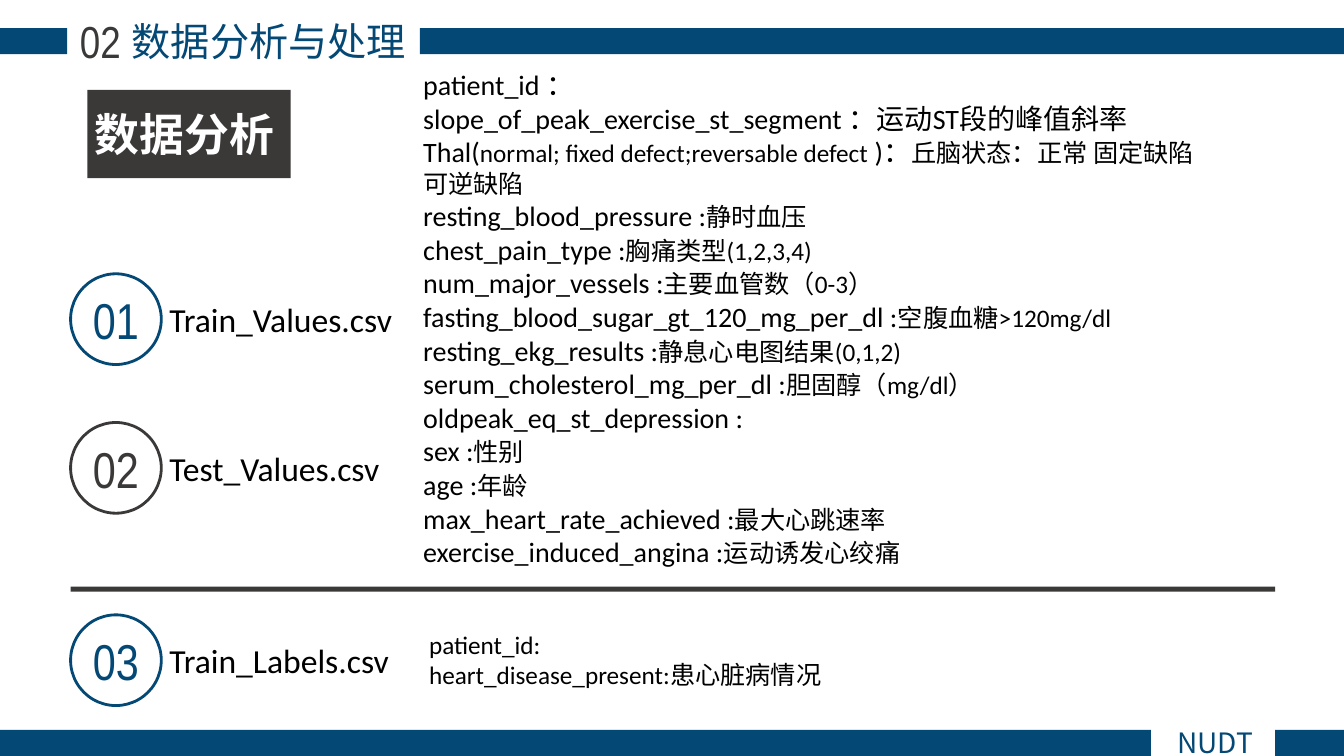
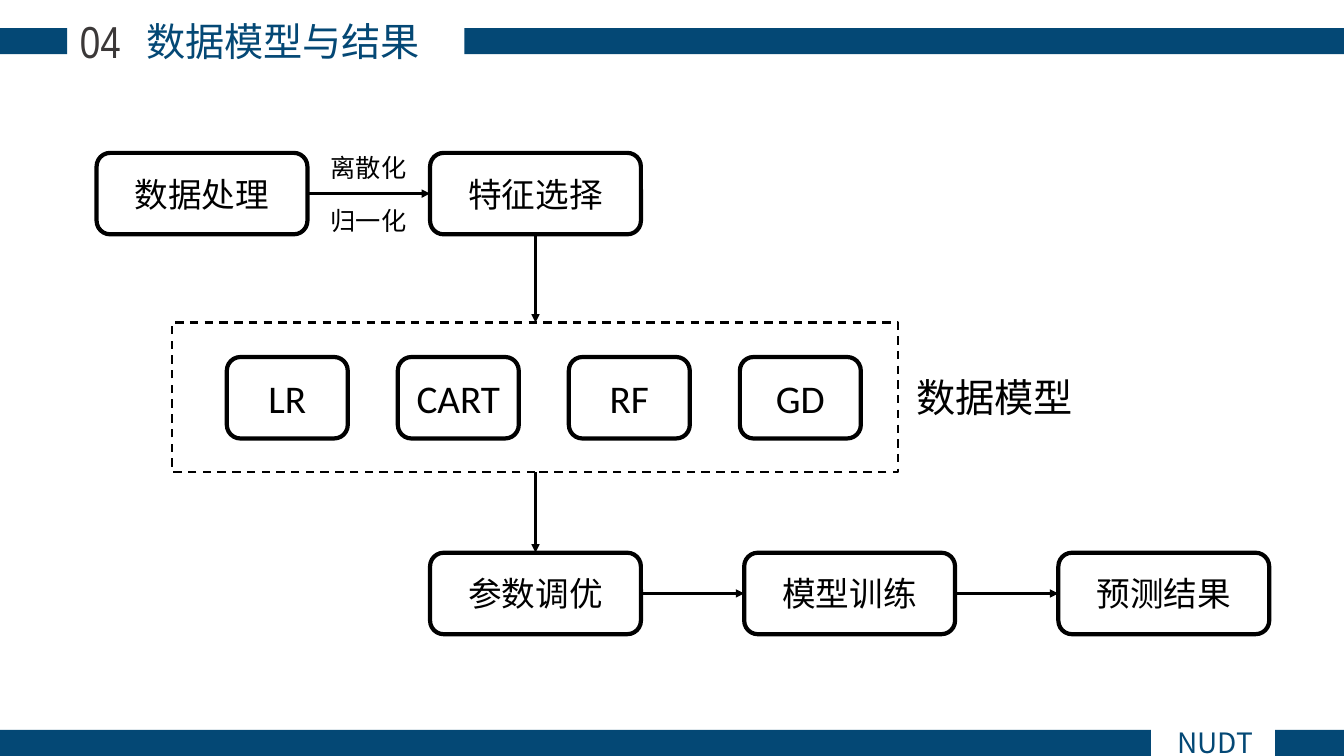
"""Build two slides on heart disease data: its fields and the modelling flow."""
from itertools import cycle

from lxml import etree
from pptx import Presentation
from pptx.dml.color import RGBColor
from pptx.enum.dml import MSO_LINE
from pptx.enum.shapes import MSO_CONNECTOR, MSO_SHAPE
from pptx.enum.text import MSO_ANCHOR, MSO_AUTO_SIZE, PP_ALIGN
from pptx.oxml.ns import qn
from pptx.util import Inches, Pt

BLUE = RGBColor(0x04, 0x48, 0x75)
GRAY = RGBColor(0x3B, 0x38, 0x38)
BLACK = RGBColor(0, 0, 0)
WHITE = RGBColor(0xFF, 0xFF, 0xFF)
LATIN, NARROW, CHINESE = "Calibri", "Arial Narrow", "Noto Sans CJK SC"
RECT, ROUNDED, OVAL = MSO_SHAPE.RECTANGLE, MSO_SHAPE.ROUNDED_RECTANGLE, MSO_SHAPE.OVAL
LEFT, CENTER = PP_ALIGN.LEFT, PP_ALIGN.CENTER
TOP, MIDDLE = MSO_ANCHOR.TOP, MSO_ANCHOR.MIDDLE
DASH, STRAIGHT = MSO_LINE.DASH, MSO_CONNECTOR.STRAIGHT
NO_FIT = MSO_AUTO_SIZE.NONE
COLUMNS, ROWS = 160, 90

deck = Presentation()
deck.slide_width, deck.slide_height = Inches(13.33), Inches(7.5)
COL, ROW = deck.slide_width / COLUMNS, deck.slide_height / ROWS


def write(target, lines, sizes=(24,), color=BLACK, font=LATIN, bold=False,
          align=LEFT, anchor=TOP, wrap=True, at=None, inset=None):
    """Fill a shape, or a new text box when at is given; sizes cycle over runs."""
    if at:
        left, top, width, height = at
        target = target.shapes.add_textbox(
            int(left * COL), int(top * ROW), int(width * COL), int(height * ROW))
    frame = target.text_frame
    frame.auto_size, frame.word_wrap, frame.vertical_anchor = NO_FIT, wrap, anchor
    if inset is not None:
        frame.margin_left = frame.margin_right = int(inset * COL)
    for number, line in enumerate(lines):
        paragraph = frame.add_paragraph() if number else frame.paragraphs[0]
        paragraph.alignment = align
        for words, size in zip(line, cycle(sizes)):
            run = paragraph.add_run()
            run.text = words
            run.font.size, run.font.name, run.font.bold = Pt(size), font, bold
            run.font.color.rgb = color
            etree.SubElement(run.font._element, qn("a:ea"), typeface=CHINESE)


def draw(slide, kind, at, fill=None, line=None, weight=2):
    """Add a preset shape on the grid and return it."""
    left, top, width, height = at
    shape = slide.shapes.add_shape(
        kind, int(left * COL), int(top * ROW), int(width * COL), int(height * ROW))
    shape.shadow.inherit = False
    if fill is None:
        shape.fill.background()
    else:
        shape.fill.solid()
        shape.fill.fore_color.rgb = fill
    if line is None:
        shape.line.fill.background()
    else:
        shape.line.color.rgb = line
        shape.line.width = Pt(weight)
    return shape


BAND = 3.1
HEAD_ROW, FOOT_ROW = 3.36, ROWS - BAND
pages = []
for section, heading, heading_col, band_col in (
        ("02", "数据分析与处理", 10.4, 50),
        ("04", "数据模型与结果", 12.1, 55.3)):
    page = deck.slides.add_slide(deck.slide_layouts[5])
    for start, end, row in ((0, 8, HEAD_ROW), (band_col, COLUMNS, HEAD_ROW),
                            (0, 137, FOOT_ROW), (151.8, COLUMNS, FOOT_ROW)):
        draw(page, RECT, (start, row, end - start, BAND), fill=BLUE)
    title = page.shapes.title
    title.left, title.top = int(heading_col * COL), int(1.44 * ROW)
    title.width, title.height = int(43.2 * COL), int(6.84 * ROW)
    write(title, [[heading]], sizes=(28,), color=BLUE, font=CHINESE, align=CENTER)
    write(page, [[section]], sizes=(32,), color=GRAY, font=NARROW, align=CENTER,
          at=(7.2, 1.1, 9.5, 7.7))
    write(page, [["NUDT"]], sizes=(20,), color=BLUE, font=CHINESE, align=CENTER,
          at=(134.8, 85.8, 19.7, 5.3))
    pages.append(page)
data_page, model_page = pages

topic = draw(data_page, RECT, (10.4, 10.7, 24.2, 10.5), fill=GRAY)
write(topic, [["数据分析"]], sizes=(32,), color=WHITE, bold=True, anchor=MIDDLE,
      inset=0.9)

CIRCLE = 10.8
for number, file_name, row, tone in (("01", "Train_Values.csv", 32.6, BLUE),
                                     ("02", "Test_Values.csv", 50.3, GRAY),
                                     ("03", "Train_Labels.csv", 73.2, BLUE)):
    badge = draw(data_page, OVAL, (8.4, row, CIRCLE, CIRCLE), line=tone)
    write(badge, [[number]], sizes=(36,), color=tone, font=NARROW, align=CENTER,
          anchor=MIDDLE, wrap=False, inset=0)
    write(data_page, [[file_name]], anchor=MIDDLE, at=(19, row, 31, CIRCLE))

draw(data_page, RECT, (8.4, 69.84, 143.4, 0.6), fill=GRAY)

value_fields = (
    ("patient_id ：",),
    ("slope_of_peak_exercise_st_segment ：运动ST段的峰值斜率",),
    ("Thal(", "normal; fixed defect;reversable defect", " )：",
     "丘脑状态：正常 固定缺陷 可逆缺陷"),
    ("resting_blood_pressure :", "静时血压"),
    ("chest_pain_type :", "胸痛类型(1,2,3,4)"),
    ("num_major_vessels :", "主要血管数（0-3）"),
    ("fasting_blood_sugar_gt_120_mg_per_dl :", "空腹血糖>120mg/dl"),
    ("resting_ekg_results :", "静息心电图结果(0,1,2)"),
    ("serum_cholesterol_mg_per_dl :", "胆固醇（mg/dl）"),
    ("oldpeak_eq_st_depression :",),
    ("sex :", "性别"),
    ("age :", "年龄"),
    ("max_heart_rate_achieved :", "最大心跳速率"),
    ("exercise_induced_angina :", "运动诱发心绞痛"),
)
write(data_page, value_fields, sizes=(20, 18), at=(49.2, 7.44, 97.7, 61.8))
write(data_page, [["patient_id:"], ["heart_disease_present:患心脏病情况"]],
      sizes=(18,), at=(49.9, 74.3, 82, 8.5))

STEP_W, MODEL_W, BOX_H = 25.1, 14.4, 9.7
FIRST_COL, MAIN_COL, STEP_PITCH = 11.5, 51.2, 37.4
MODEL_COL, MODEL_PITCH = 27, 20.36
PREPARE_ROW, MODEL_ROW, RESULT_ROW = 18.2, 42.5, 65.8
GROUP_COL, GROUP_ROW, GROUP_W, GROUP_H = 20.5, 38.4, 86.4, 17.8

group = draw(model_page, RECT, (GROUP_COL, GROUP_ROW, GROUP_W, GROUP_H),
             line=BLACK, weight=1.5)
group.line.dash_style = DASH

boxes = [("数据处理", FIRST_COL, PREPARE_ROW, STEP_W, 24),
         ("特征选择", MAIN_COL, PREPARE_ROW, STEP_W, 24)]
boxes += [(model, MODEL_COL + MODEL_PITCH * i, MODEL_ROW, MODEL_W, 28)
          for i, model in enumerate(("LR", "CART", "RF", "GD"))]
boxes += [(step, MAIN_COL + STEP_PITCH * i, RESULT_ROW, STEP_W, 24)
          for i, step in enumerate(("参数调优", "模型训练", "预测结果"))]
for label, col, row, width, size in boxes:
    box = draw(model_page, ROUNDED, (col, row, width, BOX_H), line=BLACK, weight=3)
    write(box, [[label]], sizes=(size,), align=CENTER, anchor=MIDDLE, inset=0.6)

main_axis = MAIN_COL + STEP_W / 2
prepare_axis, result_axis = PREPARE_ROW + BOX_H / 2, RESULT_ROW + BOX_H / 2
flows = [(FIRST_COL + STEP_W, prepare_axis, MAIN_COL, prepare_axis),
         (main_axis, PREPARE_ROW + BOX_H, main_axis, GROUP_ROW),
         (main_axis, GROUP_ROW + GROUP_H, main_axis, RESULT_ROW)]
flows += [(MAIN_COL + STEP_PITCH * i + STEP_W, result_axis,
           MAIN_COL + STEP_PITCH * (i + 1), result_axis) for i in range(2)]
for start_col, start_row, end_col, end_row in flows:
    arrow = model_page.shapes.add_connector(
        STRAIGHT, int(start_col * COL), int(start_row * ROW),
        int(end_col * COL), int(end_row * ROW))
    arrow.line.color.rgb = BLACK
    arrow.line.width = Pt(2)
    etree.SubElement(arrow.line._get_or_add_ln(), qn("a:tailEnd"), type="triangle")
    etree.SubElement(arrow._element.spPr, qn("a:effectLst"))

for method, row in (("离散化", 17.6), ("归一化", 23.9)):
    write(model_page, [[method]], sizes=(18,), wrap=False, at=(38.2, row, 11.5, 4.8))
write(model_page, [["数据模型"]], sizes=(28,), at=(107.9, 43.9, 25.3, 6.8))

deck.save("out.pptx")
